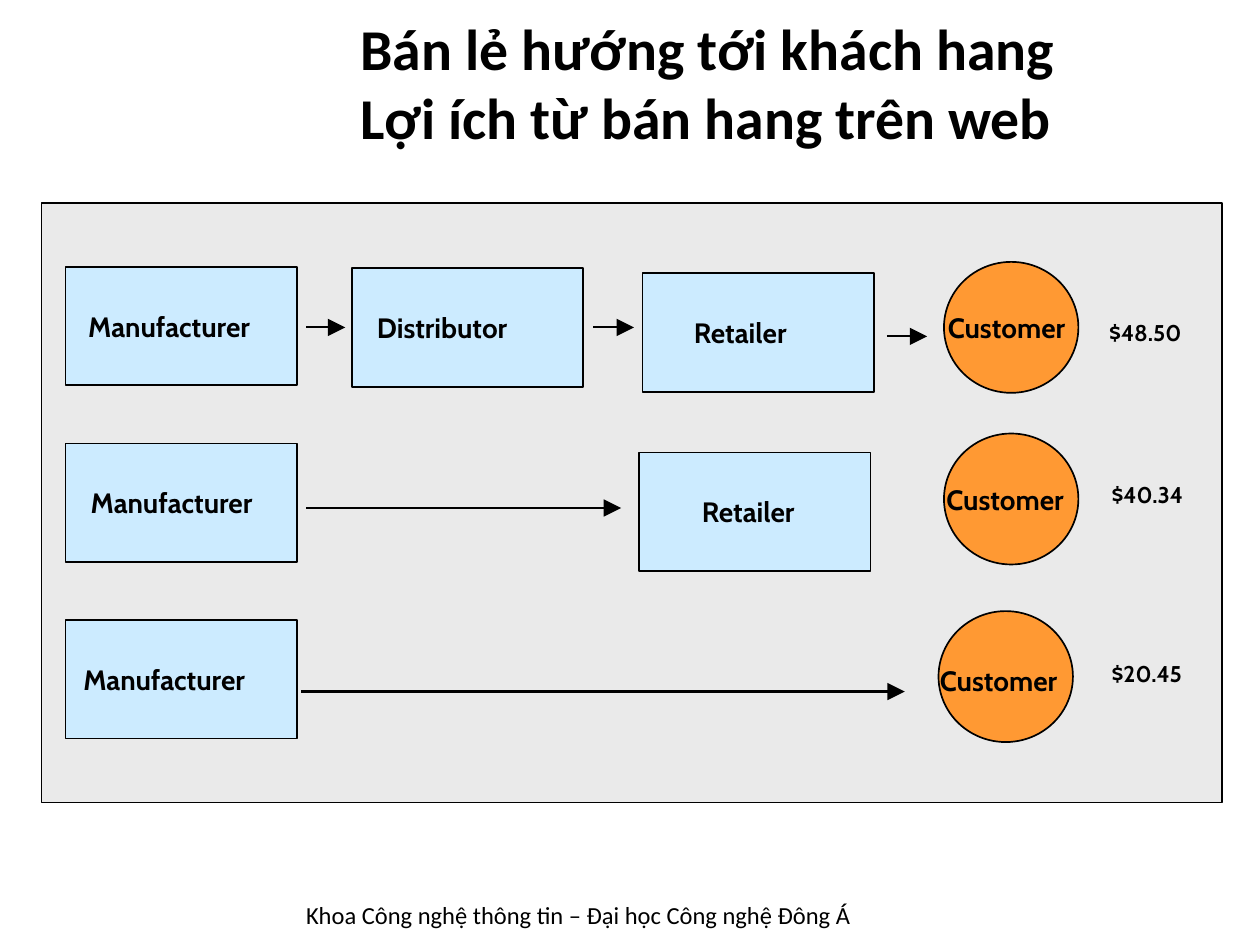
from lxml import etree
from pptx import Presentation
from pptx.dml.color import RGBColor
from pptx.enum.shapes import MSO_CONNECTOR, MSO_SHAPE
from pptx.enum.text import MSO_ANCHOR, PP_ALIGN
from pptx.oxml.ns import qn
from pptx.util import Cm, Pt

RECT, OVAL = MSO_SHAPE.RECTANGLE, MSO_SHAPE.OVAL
LINE = MSO_CONNECTOR.STRAIGHT
MID, LEFT = MSO_ANCHOR.MIDDLE, PP_ALIGN.LEFT
BLACK, GREY, BLUE, ORANGE = "000000", "EAEAEA", "CCEBFF", "FF9933"

prs = Presentation()
prs.slide_width, prs.slide_height = Cm(25.4), Cm(19.05)
slide = prs.slides.add_slide(prs.slide_layouts[6])
shapes = slide.shapes


def paint(kind, x, y, w, h, color):
    shape = shapes.add_shape(kind, Cm(x), Cm(y), Cm(w), Cm(h))
    shape.shadow.inherit = False
    shape.fill.solid()
    shape.fill.fore_color.rgb = RGBColor.from_string(color)
    shape.line.color.rgb = RGBColor.from_string(BLACK)
    shape.line.width = Pt(0.96)
    return shape


def write(shape, lines, size, font="Cabin", bold=True, indent=0.03):
    frame = shape.text_frame
    frame.word_wrap = True
    frame.vertical_anchor = MID
    frame.margin_left = Cm(indent)
    frame.margin_top = frame.margin_right = frame.margin_bottom = 0
    para = frame.paragraphs[0]
    para.alignment = LEFT
    for i, text in enumerate(lines):
        if i:
            para.add_line_break()
        run = para.add_run()
        run.text = text
        run.font.name, run.font.size, run.font.bold = font, Pt(size), bold
        run.font.color.rgb = RGBColor.from_string(BLACK)


# Title and footer
title = shapes.add_textbox(Cm(7.24), Cm(0.23), Cm(15.95), Cm(2.84))
write(title, ["Bán lẻ hướng tới khách hang", "Lợi ích từ bán hang trên web"],
      33, "Calibri")
footer = shapes.add_textbox(Cm(5.92), Cm(18.01), Cm(11.61), Cm(0.86))
write(footer, ["Khoa Công nghệ thông tin – Đại học Công nghệ Đông Á"],
      14, "Calibri", False, 0.25)

# Panel
paint(RECT, 0.84, 4.09, 23.8, 12.09, GREY)

# Companies in each chain: name, left, top, text indent
firms = [
    ("Manufacturer", 1.32, 5.38, 0.46),
    ("Distributor", 7.09, 5.41, 0.51),
    ("Retailer", 12.95, 5.51, 1.04),
    ("Manufacturer", 1.32, 8.94, 0.51),
    ("Retailer", 12.88, 9.12, 1.27),
    ("Manufacturer", 1.32, 12.5, 0.36),
]
for name, x, y, indent in firms:
    write(paint(RECT, x, y, 4.67, 2.39, BLUE), [name], 16, indent=indent)

# Arrows: start, end, height
arrows = [
    (6.17, 6.96, 6.6),
    (11.96, 12.78, 6.6),
    (17.88, 18.69, 6.78),
    (6.17, 12.52, 10.24),
    (6.07, 18.24, 13.94),
]
for start, end, y in arrows:
    arrow = shapes.add_connector(LINE, Cm(start), Cm(y), Cm(end), Cm(y))
    arrow.line.color.rgb = RGBColor.from_string(BLACK)
    arrow.line.width = Pt(1.25)
    etree.SubElement(arrow.line._get_or_add_ln(), qn("a:tailEnd"),
                     type="triangle", w="lg", len="lg")
    etree.SubElement(arrow._element.spPr, qn("a:effectLst"))

# Customers and prices: circle, label and price corners
buyers = [
    ("$48.50", (19.03, 5.28), (19.08, 6.22), (22.33, 6.38)),
    ("$40.34", (19.03, 8.74), (19.05, 9.7), (22.38, 9.65)),
    ("$20.45", (18.92, 12.32), (18.92, 13.34), (22.38, 13.26)),
]
for price, disc, label, tag in buyers:
    paint(OVAL, *disc, 2.71, 2.64, ORANGE)
    for text, (x, y), w, h, size in [("Customer", label, 2.6, 0.74, 16),
                                     (price, tag, 1.63, 0.64, 13)]:
        box = shapes.add_textbox(Cm(x), Cm(y), Cm(w), Cm(h))
        write(box, [text], size)

prs.save("out.pptx")
